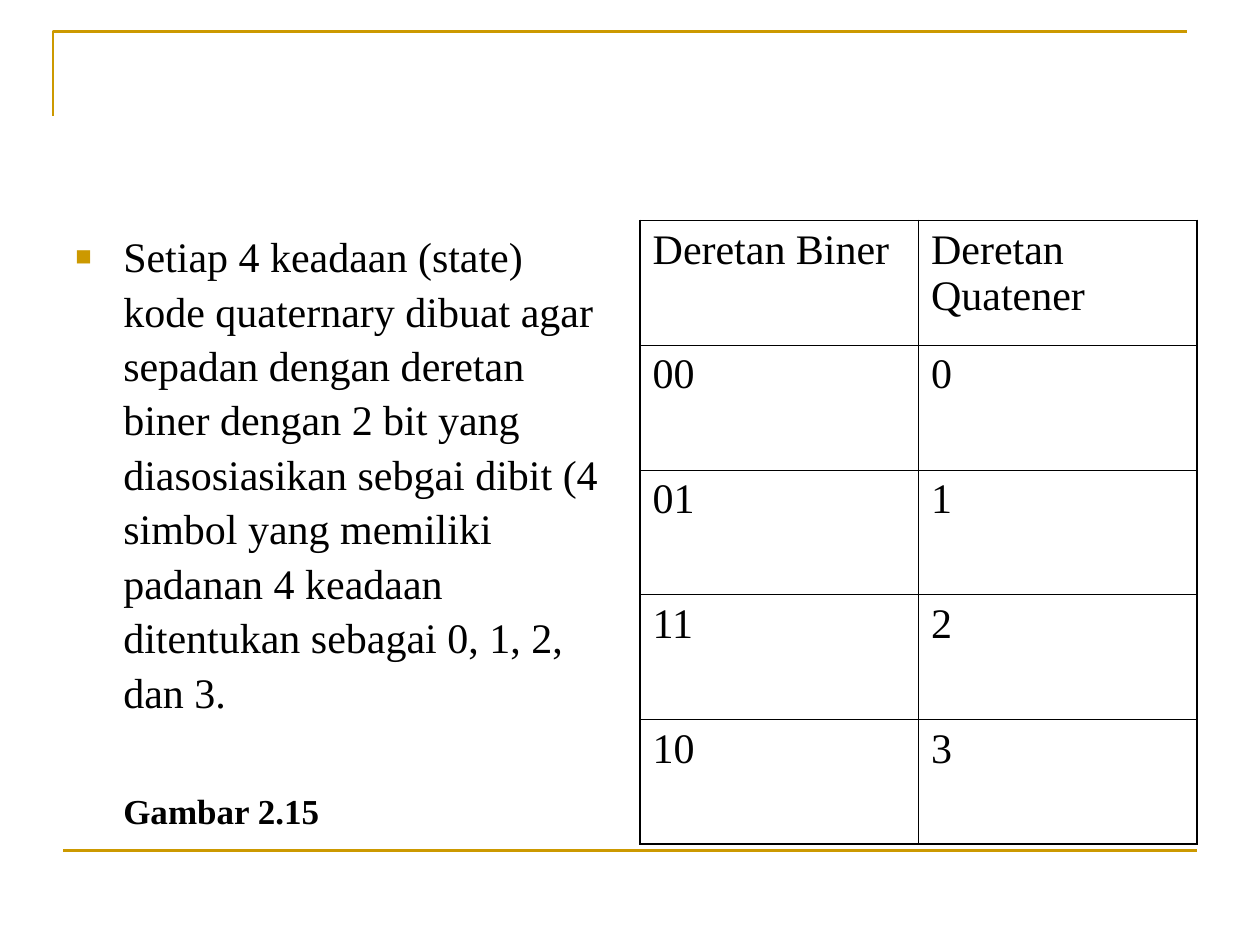
from lxml import etree
from pptx import Presentation
from pptx.dml.color import RGBColor
from pptx.enum.shapes import MSO_CONNECTOR
from pptx.oxml.ns import qn
from pptx.util import Inches, Pt

STRAIGHT = MSO_CONNECTOR.STRAIGHT
GOLD, BLACK, WHITE = "CC9900", "000000", "FFFFFF"
FACE = "Times New Roman"
THICK, THIN = 1.08, 0.45


def paint(text):
    return RGBColor.from_string(text)


def write(para, text, size, bold=False):
    run = para.add_run()
    run.text = text
    run.font.name = FACE
    run.font.size = Pt(size)
    run.font.bold = bold
    run.font.color.rgb = paint(BLACK)


deck = Presentation()
deck.slide_width, deck.slide_height = Inches(10), Inches(7.5)
slide = deck.slides.add_slide(deck.slide_layouts[6])
slide.background.fill.solid()
slide.background.fill.fore_color.rgb = paint(WHITE)
shapes = slide.shapes

edge = Inches(0.5)
top, tall = Inches(1.75), Inches(4.95)
wide = Inches(4.42)
right = deck.slide_width - edge - wide

left, head = Inches(0.42), Inches(0.25)
path = shapes.build_freeform(left, Inches(0.92), scale=1.0)
path.add_line_segments([(left, head), (Inches(9.42), head)], close=False)
frame = path.convert_to_shape()
frame.shadow.inherit = False
frame.fill.background()

base = Inches(6.75)
rule = shapes.add_connector(STRAIGHT, edge, base, deck.slide_width - edge, base)
etree.SubElement(rule._element.spPr, qn("a:effectLst"))
for item in (frame, rule):
    item.line.color.rgb = paint(GOLD)
    item.line.width = Pt(1.5)

body = shapes.add_textbox(edge, top, wide, tall).text_frame
body.word_wrap = True
point = body.paragraphs[0]
note = body.add_paragraph()
note.space_before = Pt(40)

indent = Inches(0.38)
for para in (point, note):
    para.line_spacing = 1.08
    para._p.get_or_add_pPr().set("marL", str(indent))

props = point._p.get_or_add_pPr()
props.set("indent", str(-indent))
tint = etree.SubElement(props, qn("a:buClr"))
etree.SubElement(tint, qn("a:srgbClr"), val=GOLD)
etree.SubElement(props, qn("a:buSzPct"), val="65000")
etree.SubElement(props, qn("a:buFont"), typeface=FACE)
etree.SubElement(props, qn("a:buChar"), char="■")

write(point, "Setiap 4 keadaan (state) kode quaternary dibuat agar sepadan "
      "dengan deretan biner dengan 2 bit yang diasosiasikan sebgai dibit "
      "(4 simbol yang memiliki padanan 4 keadaan ditentukan sebagai "
      "0, 1, 2, dan 3.", 24)
write(note, "Gambar 2.15", 20, True)

data = [("Deretan Biner", "Deretan Quatener"),
        ("00", "0"), ("01", "1"), ("11", "2"), ("10", "3")]
rows, cols = len(data), len(data[0])
table = shapes.add_table(rows, cols, right, top, wide, tall).table
table.first_row = False
table.horz_banding = False

for r, line in enumerate(data):
    for c, text in enumerate(line):
        cell = table.cell(r, c)
        cell.fill.background()
        write(cell.text_frame.paragraphs[0], text, 24)
        outer = {"lnL": c == 0, "lnR": c == cols - 1,
                 "lnT": r == 0, "lnB": r == rows - 1}
        props = cell._tc.get_or_add_tcPr()
        for i, (side, out) in enumerate(outer.items()):
            size = Pt(THICK if out else THIN)
            border = etree.Element(qn("a:" + side), w=str(size))
            fill = etree.SubElement(border, qn("a:solidFill"))
            etree.SubElement(fill, qn("a:srgbClr"), val=BLACK)
            props.insert(i, border)

deck.save("out.pptx")
